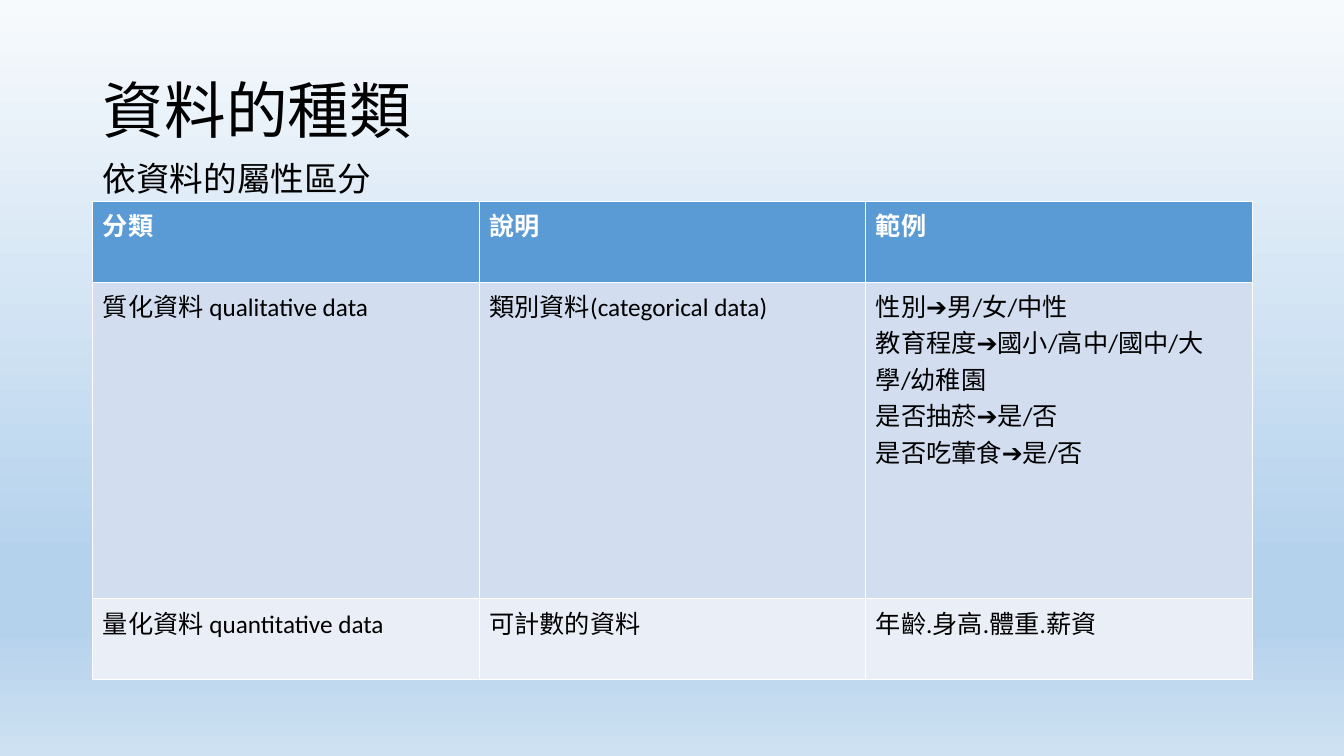
from copy import deepcopy

from pptx import Presentation
from pptx.dml.color import RGBColor
from pptx.enum.text import MSO_ANCHOR, PP_ALIGN
from pptx.oxml.ns import qn
from pptx.util import Inches, Pt

BLACK = RGBColor(0x00, 0x00, 0x00)
WHITE = RGBColor(0xFF, 0xFF, 0xFF)
HEADER_BLUE = RGBColor(0x5B, 0x9B, 0xD5)
BAND_DARK = RGBColor(0xD2, 0xDE, 0xEF)
BAND_LIGHT = RGBColor(0xEA, 0xEF, 0xF7)
SKY_TOP = RGBColor(0xF7, 0xFA, 0xFD)
SKY_MIDDLE = RGBColor(0xB5, 0xD2, 0xEC)
SKY_BOTTOM = RGBColor(0xCE, 0xE1, 0xF2)
FONT = "Calibri"
LEFT = Inches(0.92)
WIDTH = Inches(11.5)


def format_paragraph(paragraph, size, color, bold=False):
    paragraph.font.name = FONT
    paragraph.font.size = Pt(size)
    paragraph.font.color.rgb = color
    paragraph.font.bold = bold


presentation = Presentation()
presentation.slide_width = Inches(13.33)
presentation.slide_height = Inches(7.5)
slide = presentation.slides.add_slide(presentation.slide_layouts[5])

# Background: vertical gradient with four stops
background_fill = slide.background.fill
background_fill.gradient()
background_fill.gradient_angle = 270
stop_list = next(slide.background._cSld.iter(qn("a:gsLst")))
for _ in range(2):
    stop_list.append(deepcopy(stop_list[0]))
sky_stops = [(0, SKY_TOP), (0.74, SKY_MIDDLE), (0.83, SKY_MIDDLE), (1, SKY_BOTTOM)]
for stop, (position, color) in zip(background_fill.gradient_stops, sky_stops):
    stop.position = position
    stop.color.rgb = color

# Title
title = slide.shapes.title
title.left, title.top, title.width, title.height = LEFT, Inches(0.4), WIDTH, Inches(1.45)
title.text_frame.text = "資料的種類"
title.text_frame.vertical_anchor = MSO_ANCHOR.MIDDLE
title_paragraph = title.text_frame.paragraphs[0]
title_paragraph.alignment = PP_ALIGN.LEFT
title_paragraph.line_spacing = 0.9
format_paragraph(title_paragraph, 44, BLACK)

# Table of data types
rows = [
    ["分類", "說明", "範例"],
    [
        "質化資料 qualitative data",
        "類別資料(categorical data)",
        "性別➔男/女/中性\n教育程度➔國小/高中/國中/大學/幼稚園\n是否抽菸➔是/否\n是否吃葷食➔是/否",
    ],
    ["量化資料 quantitative data", "可計數的資料", "年齡.身高.體重.薪資"],
]
row_heights = [0.8, 3.14, 0.8]
row_fills = [HEADER_BLUE, BAND_DARK, BAND_LIGHT]
table = slide.shapes.add_table(
    len(rows), len(rows[0]), LEFT, Inches(2), WIDTH, Inches(sum(row_heights))
).table
for row_index, texts in enumerate(rows):
    is_header = row_index == 0
    table.rows[row_index].height = Inches(row_heights[row_index])
    for column_index, text in enumerate(texts):
        cell = table.cell(row_index, column_index)
        cell.fill.solid()
        cell.fill.fore_color.rgb = row_fills[row_index]
        cell.text = text
        for paragraph in cell.text_frame.paragraphs:
            format_paragraph(paragraph, 18, WHITE if is_header else BLACK, is_header)

# Subtitle
subtitle = slide.shapes.add_textbox(LEFT, Inches(1.52), Inches(3.1), Inches(0.5))
subtitle.text_frame.word_wrap = True
subtitle.text_frame.text = "依資料的屬性區分"
format_paragraph(subtitle.text_frame.paragraphs[0], 24, BLACK)

presentation.save("out.pptx")
